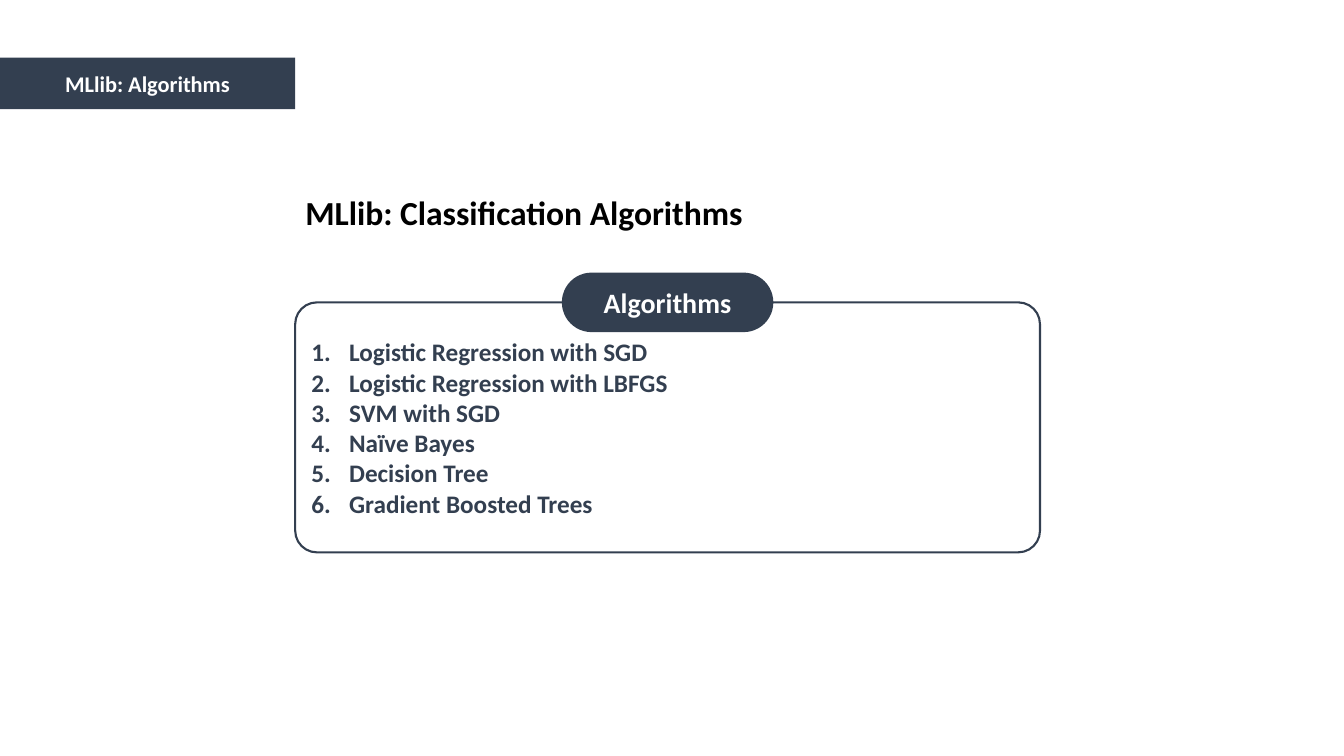
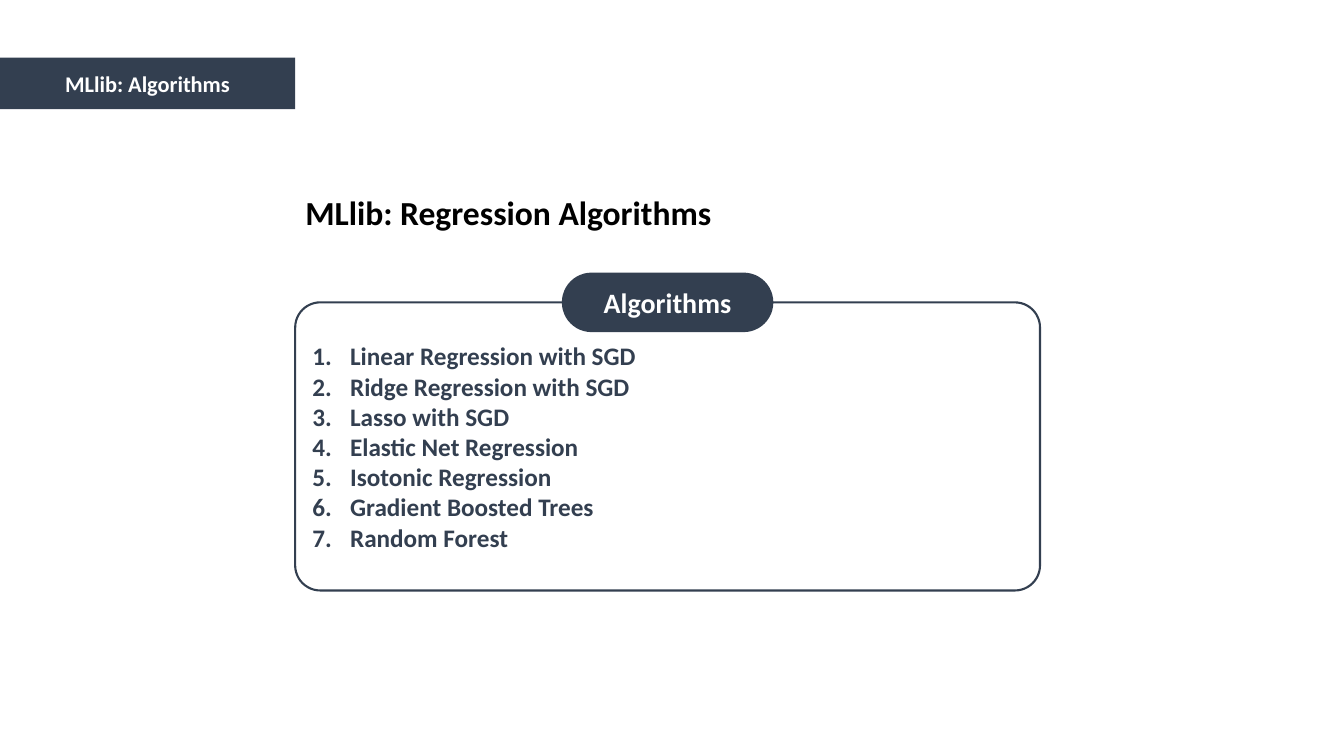
from lxml.etree import SubElement
from pptx import Presentation
from pptx.dml.color import RGBColor
from pptx.enum.shapes import MSO_SHAPE as Shape
from pptx.enum.text import MSO_ANCHOR as Anchor, MSO_AUTO_SIZE as AutoSize, PP_ALIGN as Align
from pptx.oxml.ns import qn
from pptx.util import Cm, Pt

NAVY = RGBColor(0x33, 0x3F, 0x50)
WHITE = RGBColor(0xFF, 0xFF, 0xFF)
BLACK = RGBColor(0x00, 0x00, 0x00)
FONT = "Calibri"
TITLE_ONLY = 5

MARGIN = Cm(7.44)
PANEL_TOP = Cm(7.62)
PANEL_WIDTH = Cm(18.77)
PANEL_PADDING = Cm(0.54)
ITEM_HEIGHT = Cm(0.96)
PILL_WIDTH = Cm(5.33)
PILL_HEIGHT = Cm(1.5)
NUMBER_INDENT = Cm(0.95)

ALGORITHMS = {
    "MLlib: Classification Algorithms": [
        "Logistic Regression with SGD",
        "Logistic Regression with LBFGS",
        "SVM with SGD",
        "Naïve Bayes",
        "Decision Tree",
        "Gradient Boosted Trees",
    ],
    "MLlib: Regression Algorithms": [
        "Linear Regression with SGD",
        "Ridge Regression with SGD",
        "Lasso with SGD",
        "Elastic Net Regression",
        "Isotonic Regression",
        "Gradient Boosted Trees",
        "Random Forest",
    ],
}


def set_text(box, text, size, color, align, anchor=Anchor.MIDDLE):
    frame = box.text_frame
    frame.text = text
    frame.word_wrap = True
    frame.vertical_anchor = anchor
    for para in frame.paragraphs:
        para.alignment = align
        for span in para.runs:
            span.font.name = FONT
            span.font.size = Pt(size)
            span.font.bold = True
            span.font.color.rgb = color


def add_block(shapes, kind, left, top, width, height, fill, rounding=None):
    block = shapes.add_shape(kind, left, top, width, height)
    block.shadow.inherit = False
    block.fill.solid()
    block.fill.fore_color.rgb = fill
    block.line.fill.background()
    if rounding is not None:
        block.adjustments[0] = rounding
    return block


def number_paragraphs(frame):
    for para in frame.paragraphs:
        properties = para._p.get_or_add_pPr()
        properties.set("marL", str(NUMBER_INDENT))
        properties.set("indent", str(-NUMBER_INDENT))
        SubElement(properties, qn("a:buAutoNum"), type="arabicPeriod")


def add_section_band(page, text):
    band = add_block(page.shapes, Shape.RECTANGLE, 0, Cm(1.45), MARGIN, Cm(1.3), NAVY)
    set_text(band, text, 16, WHITE, Align.CENTER)


def set_title(page, text):
    title = page.shapes.title
    title.left, title.top, title.width, title.height = MARGIN, Cm(4.7), Cm(15.75), Cm(1.27)
    title.text_frame.auto_size = AutoSize.NONE
    set_text(title, text, 24, BLACK, Align.LEFT, Anchor.TOP)


def add_list_panel(page, label, items):
    group = page.shapes.add_group_shape()
    height = PANEL_PADDING + ITEM_HEIGHT * len(items)
    panel = add_block(group.shapes, Shape.ROUNDED_RECTANGLE, MARGIN, PANEL_TOP,
                      PANEL_WIDTH, height, WHITE, 0.087)
    panel.line.color.rgb = NAVY
    panel.line.width = Pt(1.5)
    set_text(panel, "\n".join(items), 18, NAVY, Align.LEFT)
    number_paragraphs(panel.text_frame)

    pill_left = MARGIN + (PANEL_WIDTH - PILL_WIDTH) // 2
    pill = add_block(group.shapes, Shape.ROUNDED_RECTANGLE, pill_left,
                     PANEL_TOP - PILL_HEIGHT // 2, PILL_WIDTH, PILL_HEIGHT, NAVY, 0.5)
    set_text(pill, label, 20, WHITE, Align.CENTER)


def main():
    deck = Presentation()
    deck.slide_width = Cm(33.87)
    deck.slide_height = Cm(19.05)
    for title, items in ALGORITHMS.items():
        page = deck.slides.add_slide(deck.slide_layouts[TITLE_ONLY])
        add_section_band(page, "MLlib: Algorithms")
        set_title(page, title)
        add_list_panel(page, "Algorithms", items)
    deck.save("out.pptx")


if __name__ == "__main__":
    main()
